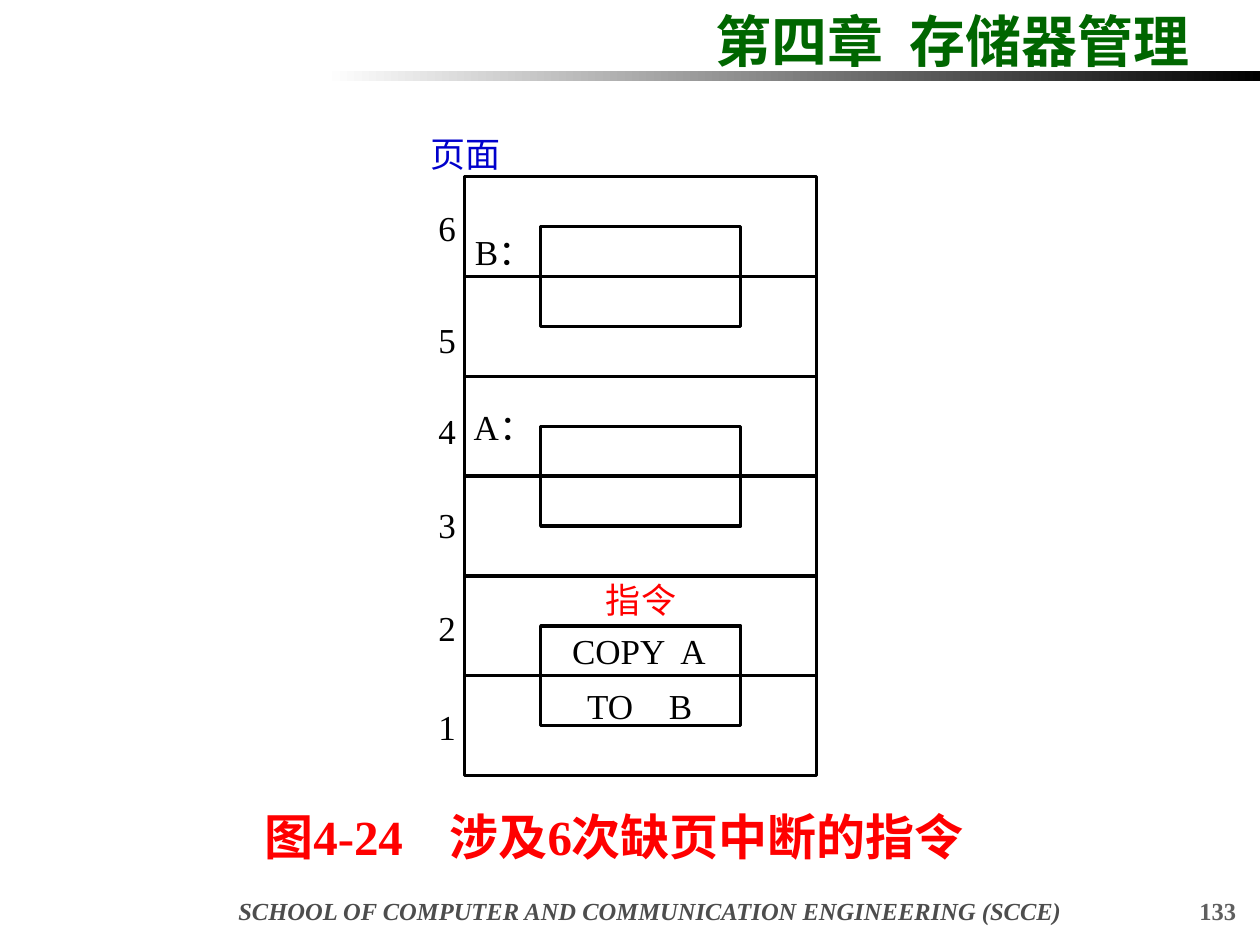
from lxml import etree
from pptx import Presentation
from pptx import util as u
from pptx.dml.color import RGBColor
from pptx.enum import shapes, text
from pptx.oxml.ns import qn

THEME = {
    "font": "Times New Roman",
    "green": "006600", "red": "FF0000", "blue": "0000CC",
    "black": "000000", "white": "FFFFFF",
    "footer": "4D4D4D", "number": "5F5F5F",
    "title_size": 32, "caption_size": 28, "label_size": 20, "footer_size": 14,
    "line": 1.75,
}

deck = Presentation()
deck.slide_width, deck.slide_height = u.Inches(10), u.Inches(7.5)
page = deck.slides.add_slide(deck.slide_layouts[6])

# The page is a grid of 100 columns by 75 rows
COLUMN, ROW = deck.slide_width / 100, deck.slide_height / 75


def add_text(place, words, size, color, inset=(0, 0), bold=False, italic=False,
             align=text.PP_ALIGN.LEFT, tab=None, wrap=False):
    left, top, width, height = place
    box = page.shapes.add_textbox(int(left * COLUMN), int(top * ROW),
                                  int(width * COLUMN), int(height * ROW))
    frame = box.text_frame
    frame.word_wrap = wrap or tab is not None
    frame.margin_left = frame.margin_right = int(inset[0] * COLUMN)
    frame.margin_top = frame.margin_bottom = int(inset[1] * ROW)
    para = frame.paragraphs[0]
    para.alignment = align
    if tab is not None:
        stops = etree.SubElement(para._p.get_or_add_pPr(), qn("a:tabLst"))
        etree.SubElement(stops, qn("a:tab"), pos=str(int(tab * COLUMN)), algn="l")
    span = para.add_run()
    span.text = words
    span.font.name, span.font.size = THEME["font"], u.Pt(THEME[size])
    span.font.bold, span.font.italic = bold, italic
    span.font.color.rgb = RGBColor.from_string(THEME[color])


def add_box(left, top, width, height):
    box = page.shapes.add_shape(shapes.MSO_SHAPE.RECTANGLE,
                                int(left * COLUMN), int(top * ROW),
                                int(width * COLUMN), int(height * ROW))
    box.shadow.inherit = False
    box.fill.background()
    box.line.color.rgb = RGBColor.from_string(THEME["black"])
    box.line.width = u.Pt(THEME["line"])
    return box


# Chapter heading and gradient bar
add_text((55.8, 0, 44.2, 6.4), "第四章\t存储器管理", "title_size", "green",
         inset=(1, 0.5), bold=True, tab=15.4)
bar = add_box(25.8, 5.6, 74.2, 0.8)
bar.line.fill.background()
bar.fill.gradient()
bar.fill.gradient_angle = 0
for stop, position, color in zip(bar.fill.gradient_stops, (0, 1), ("white", "black")):
    stop.position = position
    stop.color.rgb = RGBColor.from_string(THEME[color])

# Footer and page number
add_text((15.4, 70.6, 72.4, 2.8), "SCHOOL OF COMPUTER AND COMMUNICATION ENGINEERING (SCCE)",
         "footer_size", "footer", inset=(1, 0.5), bold=True, italic=True,
         align=text.PP_ALIGN.CENTER, wrap=True)
add_text((78.3, 70.6, 20.8, 2.8), "133", "footer_size", "number",
         inset=(1, 0.5), bold=True, align=text.PP_ALIGN.RIGHT, wrap=True)

# Figure caption
add_text((20, 63.5, 60.2, 5.7), "图4-24\t涉及6次缺页中断的指令", "caption_size", "red",
         inset=(1, 0.5), bold=True, tab=14.7)

# Six memory pages, and three blocks that each straddle a page boundary
MEMORY_TOP, PAGE_HEIGHT = 14, 7.93
for index in range(6):
    add_box(36.9, MEMORY_TOP + index * PAGE_HEIGHT, 27.9, PAGE_HEIGHT)
for index in (0.5, 2.5, 4.5):
    add_box(42.9, MEMORY_TOP + index * PAGE_HEIGHT, 15.9, PAGE_HEIGHT)

# Labels: left, top, width, words, colour, tab stop
labels = [
    (34.2, 10.5, 5.6, "页面", "blue", None),
    (37.7, 18.3, 5.3, "B：", "black", None),
    (37.6, 32.2, 5.5, "A：", "black", None),
    (48.1, 45.9, 5.6, "指令", "red", None),
    (45.4, 50, 12, "COPY\tA", "black", 8.6),
    (46.6, 54.3, 10, "TO\tB", "black", 6.5),
]
number_tops = (16.4, 25.3, 32.5, 40, 48.1, 56)
labels += [(34.8, top, 1.4, str(6 - index), "black", None)
           for index, top in enumerate(number_tops)]
for left, top, width, words, color, tab in labels:
    add_text((left, top, width, 3.3), words, "label_size", color, tab=tab)

deck.save("out.pptx")
